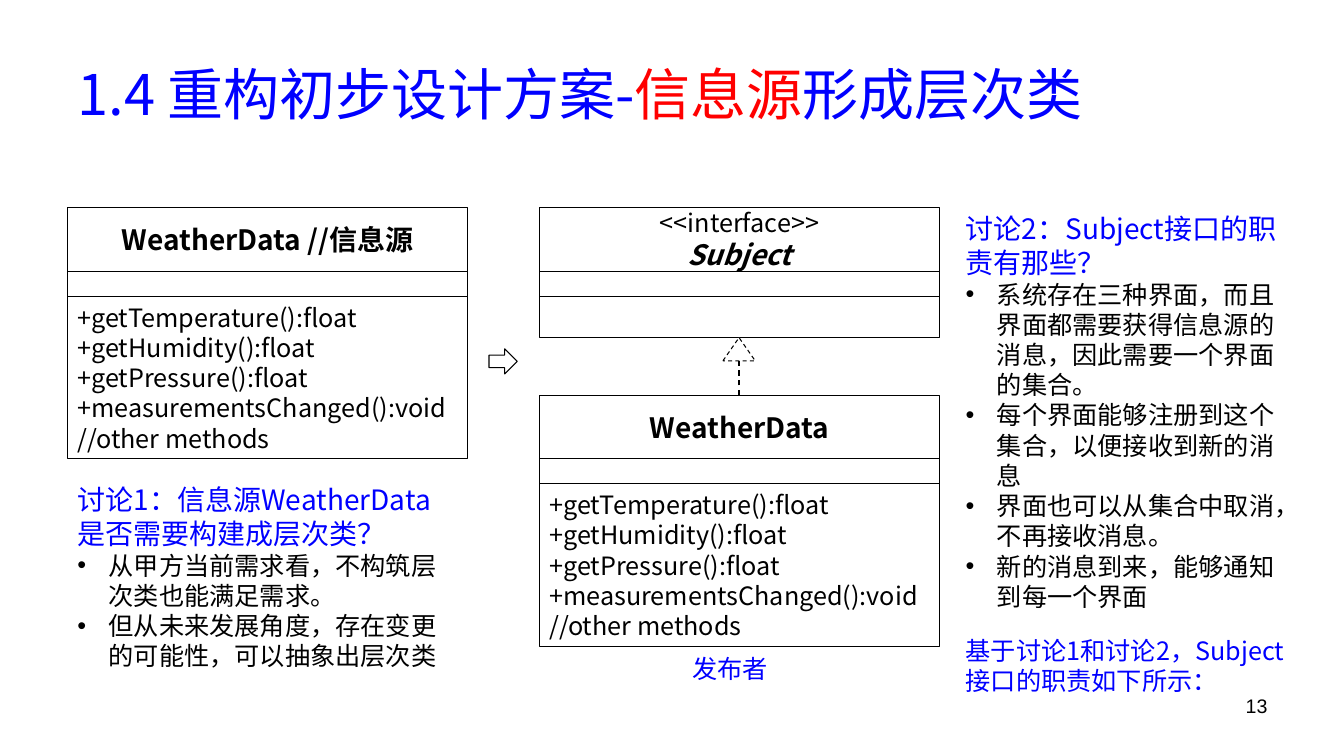
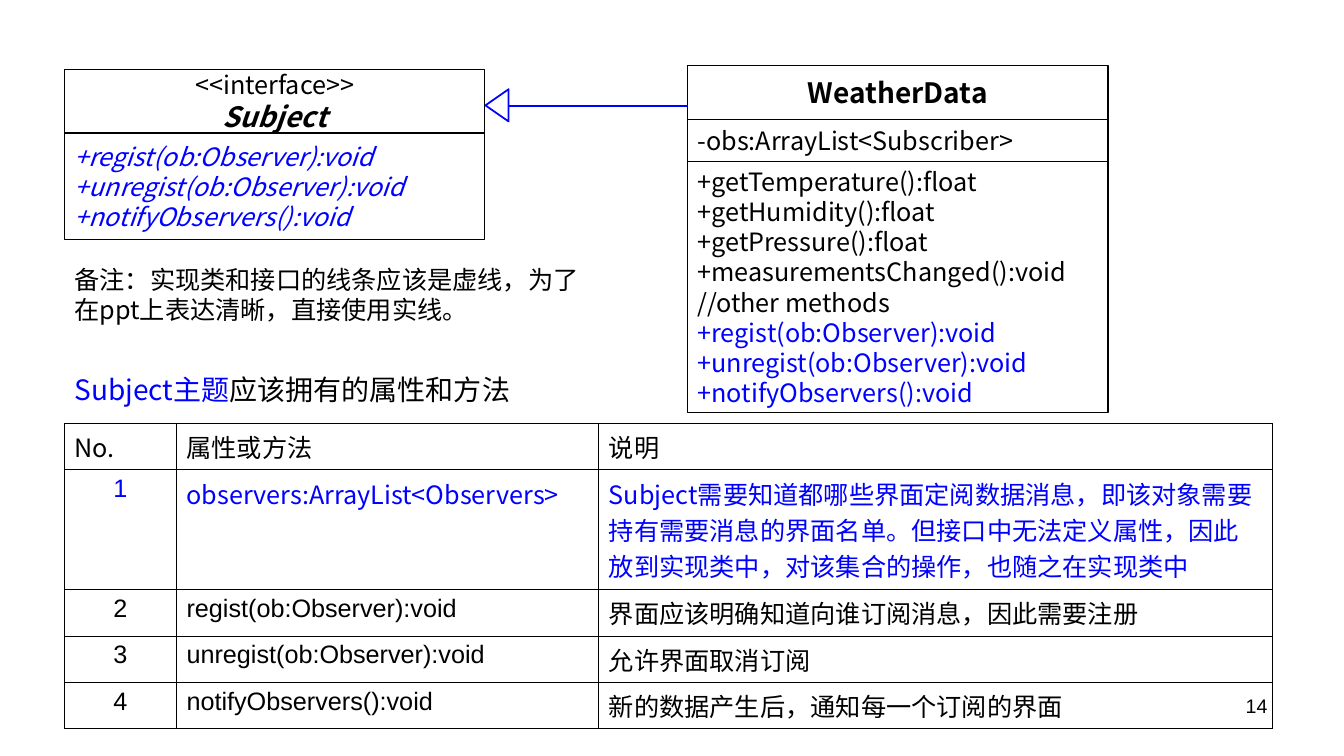
from dataclasses import dataclass
from typing import Any, Optional

from lxml import etree
from pptx import Presentation
from pptx.dml.color import RGBColor
from pptx.enum.dml import MSO_LINE
from pptx.enum.shapes import MSO_CONNECTOR, MSO_SHAPE
from pptx.enum.text import MSO_ANCHOR, PP_ALIGN
from pptx.oxml.ns import qn
from pptx.util import Inches, Pt

LEFT, CENTER, RIGHT = PP_ALIGN.LEFT, PP_ALIGN.CENTER, PP_ALIGN.RIGHT
TOP, MIDDLE = MSO_ANCHOR.TOP, MSO_ANCHOR.MIDDLE
RECTANGLE = MSO_SHAPE.RECTANGLE
TRIANGLE = MSO_SHAPE.ISOSCELES_TRIANGLE
RIGHT_ARROW = MSO_SHAPE.RIGHT_ARROW
STRAIGHT = MSO_CONNECTOR.STRAIGHT
DASH = MSO_LINE.DASH

COLORS = {"black": "000000", "blue": "0000FF", "red": "FF0000", "white": "FFFFFF"}
CJK_FONT = "Noto Sans CJK SC"
LATIN_FONT = "Arial"
BULLET_INDENT = 0.31


@dataclass(frozen=True)
class Run:
    text: str
    color: str = "black"
    size: float = 18
    bold: bool = False
    italic: bool = False
    font: str = CJK_FONT


@dataclass(frozen=True)
class Line:
    runs: tuple[Run, ...]
    align: Any = LEFT
    bullet: bool = False


@dataclass(frozen=True)
class Box:
    left: float
    top: float
    width: float
    height: float

    def lengths(self) -> tuple[Any, ...]:
        return tuple(Inches(v) for v in (self.left, self.top, self.width, self.height))


@dataclass(frozen=True)
class Compartment:
    height: float
    lines: tuple[Line, ...] = ()


def line(text: str, color: str = "black", size: float = 18, align: Any = LEFT,
         bullet: bool = False, bold: bool = False, italic: bool = False,
         font: str = CJK_FONT) -> Line:
    return Line((Run(text, color, size, bold, italic, font),), align, bullet)


def lines(*texts: str, color: str = "black", bullet: bool = False,
          italic: bool = False) -> tuple[Line, ...]:
    return tuple(line(t, color, bullet=bullet, italic=italic) for t in texts)


def discussion(heading: str, *points: str) -> tuple[Line, ...]:
    return (line(heading, "blue", 20), *lines(*points, bullet=True))


def class_name(text: str) -> tuple[Line, ...]:
    return (line(text, size=20, align=CENTER, bold=True),)


INTERFACE_NAME = (
    line("<<interface>>", align=CENTER),
    line("Subject", size=20, align=CENTER, bold=True, italic=True),
)
WEATHER_METHODS = lines(
    "+getTemperature():float",
    "+getHumidity():float",
    "+getPressure():float",
    "+measurementsChanged():void",
    "//other methods",
)
SUBJECT_METHODS = (
    "regist(ob:Observer):void",
    "unregist(ob:Observer):void",
    "notifyObservers():void",
)
PUBLIC_METHODS = tuple("+" + method for method in SUBJECT_METHODS)
METHOD_NOTES = (
    "界面应该明确知道向谁订阅消息，因此需要注册",
    "允许界面取消订阅",
    "新的数据产生后，通知每一个订阅的界面",
)


def rgb(name: str) -> RGBColor:
    return RGBColor.from_string(COLORS[name])


def write(frame: Any, content: tuple[Line, ...]) -> None:
    for index, item in enumerate(content):
        paragraph = frame.paragraphs[0] if index == 0 else frame.add_paragraph()
        paragraph.alignment = item.align
        if item.bullet:
            properties = paragraph._p.get_or_add_pPr()
            properties.set("marL", str(Inches(BULLET_INDENT)))
            properties.set("indent", str(-Inches(BULLET_INDENT)))
            font = etree.SubElement(properties, qn("a:buFont"))
            font.set("typeface", LATIN_FONT)
            etree.SubElement(properties, qn("a:buChar")).set("char", "•")
        for part in item.runs:
            run = paragraph.add_run()
            run.text = part.text
            run.font.size = Pt(part.size)
            run.font.bold = part.bold
            run.font.italic = part.italic
            run.font.color.rgb = rgb(part.color)
            run.font.name = part.font
            east_asian = etree.SubElement(run._r.get_or_add_rPr(), qn("a:ea"))
            east_asian.set("typeface", part.font)


def add_text(slide: Any, box: Box, content: tuple[Line, ...], anchor: Any = TOP) -> None:
    frame = slide.shapes.add_textbox(*box.lengths()).text_frame
    frame.word_wrap = True
    frame.vertical_anchor = anchor
    write(frame, content)


def add_outline(shapes: Any, kind: Any, box: Box, fill: Optional[str] = None,
                color: str = "black", width: float = 0.75, dash: Any = None) -> Any:
    shape = shapes.add_shape(kind, *box.lengths())
    shape.shadow.inherit = False
    if fill:
        shape.fill.solid()
        shape.fill.fore_color.rgb = rgb(fill)
    else:
        shape.fill.background()
    shape.line.color.rgb = rgb(color)
    shape.line.width = Pt(width)
    if dash:
        shape.line.dash_style = dash
    return shape


def add_class(slide: Any, left: float, top: float, width: float,
              *compartments: Compartment) -> None:
    group = slide.shapes.add_group_shape()
    for compartment in compartments:
        box = Box(left, top, width, compartment.height)
        shape = add_outline(group.shapes, RECTANGLE, box)
        shape.text_frame.word_wrap = True
        shape.text_frame.vertical_anchor = MIDDLE
        write(shape.text_frame, compartment.lines)
        top += compartment.height


def add_connector(slide: Any, start: tuple[float, float], end: tuple[float, float],
                  color: str, width: float, dash: Any = None) -> None:
    points = [Inches(value) for value in (*start, *end)]
    connector = slide.shapes.add_connector(STRAIGHT, *points)
    connector.line.color.rgb = rgb(color)
    connector.line.width = Pt(width)
    if dash:
        connector.line.dash_style = dash
    etree.SubElement(connector._element.spPr, qn("a:effectLst"))


def add_page_number(slide: Any, number: int) -> None:
    content = (line(str(number), size=14, align=RIGHT, font=LATIN_FONT),)
    add_text(slide, Box(9.56, 6.83, 3.11, 0.52), content)


def add_borders(cell: Any) -> None:
    properties = cell._tc.get_or_add_tcPr()
    for index, side in enumerate(("a:lnL", "a:lnR", "a:lnT", "a:lnB")):
        border = etree.Element(qn(side))
        border.set("w", str(Pt(0.75)))
        fill = etree.SubElement(border, qn("a:solidFill"))
        etree.SubElement(fill, qn("a:srgbClr")).set("val", COLORS["black"])
        properties.insert(index, border)


def add_table(slide: Any, left: float, top: float, widths: tuple[float, ...],
              heights: tuple[float, ...], rows: list[tuple[Line, ...]]) -> None:
    box = Box(left, top, sum(widths), sum(heights))
    table = slide.shapes.add_table(len(rows), len(widths), *box.lengths()).table
    table.first_row = False
    table.horz_banding = False
    for column, width in zip(table.columns, widths):
        column.width = Inches(width)
    for row, height, contents in zip(table.rows, heights, rows):
        row.height = Inches(height)
        for cell, content in zip(row.cells, contents):
            cell.fill.background()
            add_borders(cell)
            write(cell.text_frame, (content,))


def build_hierarchy(slide: Any) -> None:
    title = Line((
        Run("1.4 重构初步设计方案-", "blue", 40),
        Run("信息源", "red", 40),
        Run("形成层次类", "blue", 40),
    ))
    add_text(slide, Box(0.67, 0.3, 12, 1.25), (title,), MIDDLE)
    add_page_number(slide, 13)
    attributes = Compartment(0.25)
    methods = Compartment(1.61, WEATHER_METHODS)
    add_class(slide, 0.67, 2.06, 3.97,
              Compartment(0.63, class_name("WeatherData //信息源")), attributes, methods)
    add_class(slide, 5.35, 2.06, 3.97,
              Compartment(0.63, INTERFACE_NAME), attributes, Compartment(0.41))
    add_class(slide, 5.35, 3.92, 3.97,
              Compartment(0.63, class_name("WeatherData")), attributes, methods)
    add_outline(slide.shapes, TRIANGLE, Box(7.17, 3.35, 0.32, 0.23), "white", dash=DASH)
    add_connector(slide, (7.33, 3.92), (7.33, 3.58), "black", 1, DASH)
    add_outline(slide.shapes, RIGHT_ARROW, Box(4.85, 3.46, 0.28, 0.25), "white")
    add_text(slide, Box(0.67, 4.74, 3.97, 1.99), discussion(
        "讨论1：信息源WeatherData是否需要构建成层次类？",
        "从甲方当前需求看，不构筑层次类也能满足需求。",
        "但从未来发展角度，存在变更的可能性，可以抽象出层次类",
    ))
    add_text(slide, Box(9.48, 2.05, 3.4, 4.11), discussion(
        "讨论2：Subject接口的职责有那些？",
        "系统存在三种界面，而且界面都需要获得信息源的消息，因此需要一个界面的集合。",
        "每个界面能够注册到这个集合，以便接收到新的消息",
        "界面也可以从集合中取消，不再接收消息。",
        "新的消息到来，能够通知到每一个界面",
    ))
    add_text(slide, Box(6.77, 6.43, 1.12, 0.4), lines("发布者", color="blue"))
    add_text(slide, Box(9.48, 6.25, 3.4, 0.71),
             lines("基于讨论1和讨论2，Subject接口的职责如下所示：", color="blue"))


def build_subject(slide: Any) -> None:
    add_page_number(slide, 14)
    add_class(slide, 0.64, 0.69, 4.17,
              Compartment(0.63, INTERFACE_NAME),
              Compartment(1.06, lines(*PUBLIC_METHODS, color="blue", italic=True)))
    add_class(slide, 6.82, 0.65, 4.17,
              Compartment(0.54, class_name("WeatherData")),
              Compartment(0.41, lines("-obs:ArrayList<Subscriber>")),
              Compartment(2.49, WEATHER_METHODS + lines(*PUBLIC_METHODS, color="blue")))
    arrowhead = add_outline(slide.shapes, TRIANGLE, Box(4.77, 0.93, 0.32, 0.23),
                            "white", "blue", 1.25)
    arrowhead.rotation = 270
    add_connector(slide, (6.82, 1.05), (5.04, 1.05), "blue", 1.25)
    rows = [
        lines("No.", "属性或方法", "说明"),
        (line("1", "blue", align=CENTER, font=LATIN_FONT),
         *lines("observers:ArrayList<Observers>",
                "Subject需要知道都哪些界面定阅数据消息，即该对象需要持有需要消息的界面名单。"
                "但接口中无法定义属性，因此放到实现类中，对该集合的操作，也随之在实现类中",
                color="blue")),
    ]
    for number, (method, note) in enumerate(zip(SUBJECT_METHODS, METHOD_NOTES), 2):
        rows.append((line(str(number), align=CENTER, font=LATIN_FONT),
                     line(method, font=LATIN_FONT), line(note)))
    add_table(slide, 0.64, 4.2, (1.11, 4.19, 6.68), (0.46, 1.19, 0.46, 0.46, 0.46), rows)
    heading = Line((Run("Subject主题", "blue", 20), Run("应该拥有的属性和方法", size=20)))
    add_text(slide, Box(0.64, 3.65, 5.29, 0.44), (heading,))
    add_text(slide, Box(0.64, 2.57, 5.29, 0.71), lines(
        "备注：实现类和接口的线条应该是虚线，为了在ppt上表达清晰，直接使用实线。"))


def main() -> None:
    presentation = Presentation()
    presentation.slide_width = Inches(13.33)
    presentation.slide_height = Inches(7.5)
    blank = presentation.slide_layouts[6]
    for build in (build_hierarchy, build_subject):
        build(presentation.slides.add_slide(blank))
    presentation.save("out.pptx")


if __name__ == "__main__":
    main()
